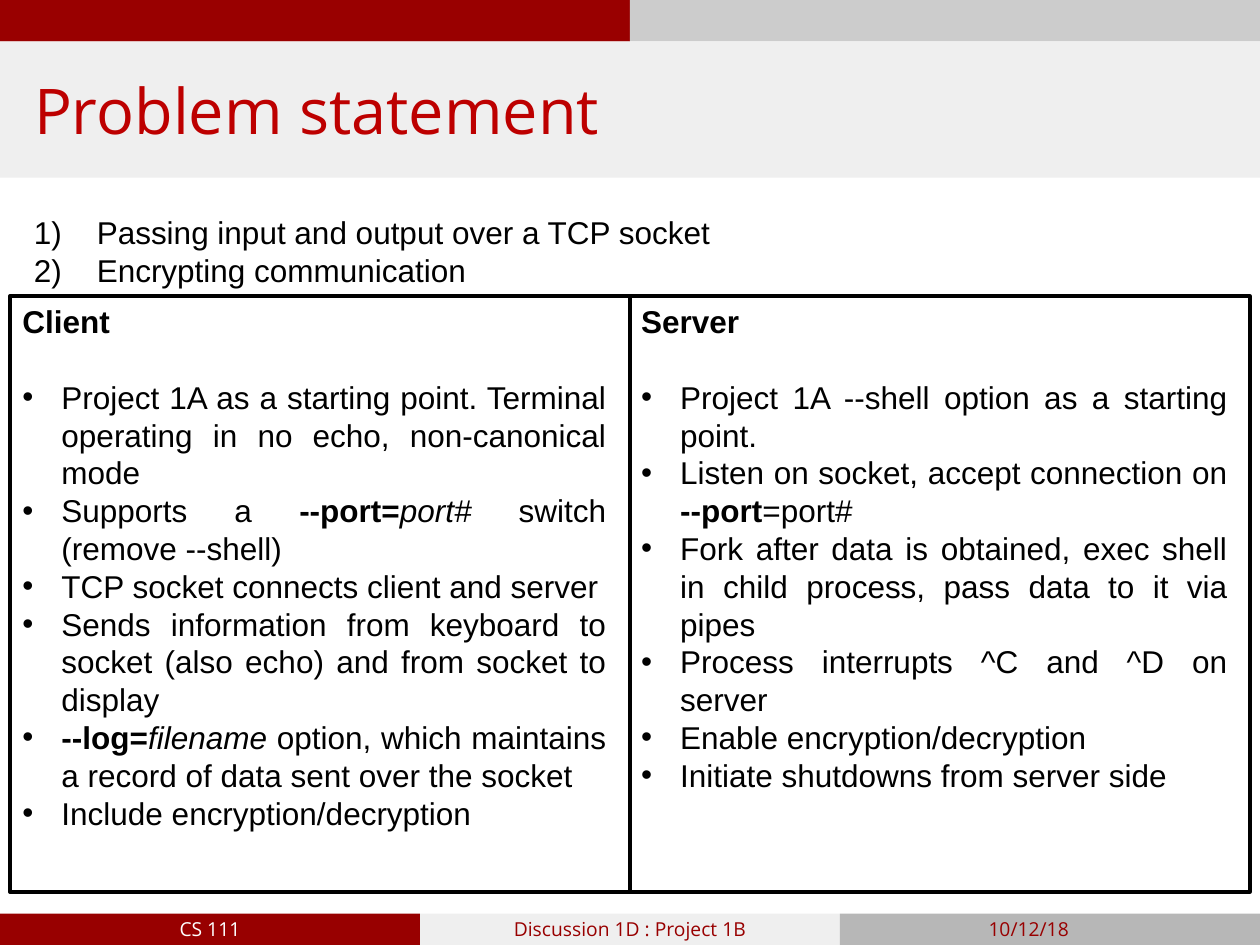
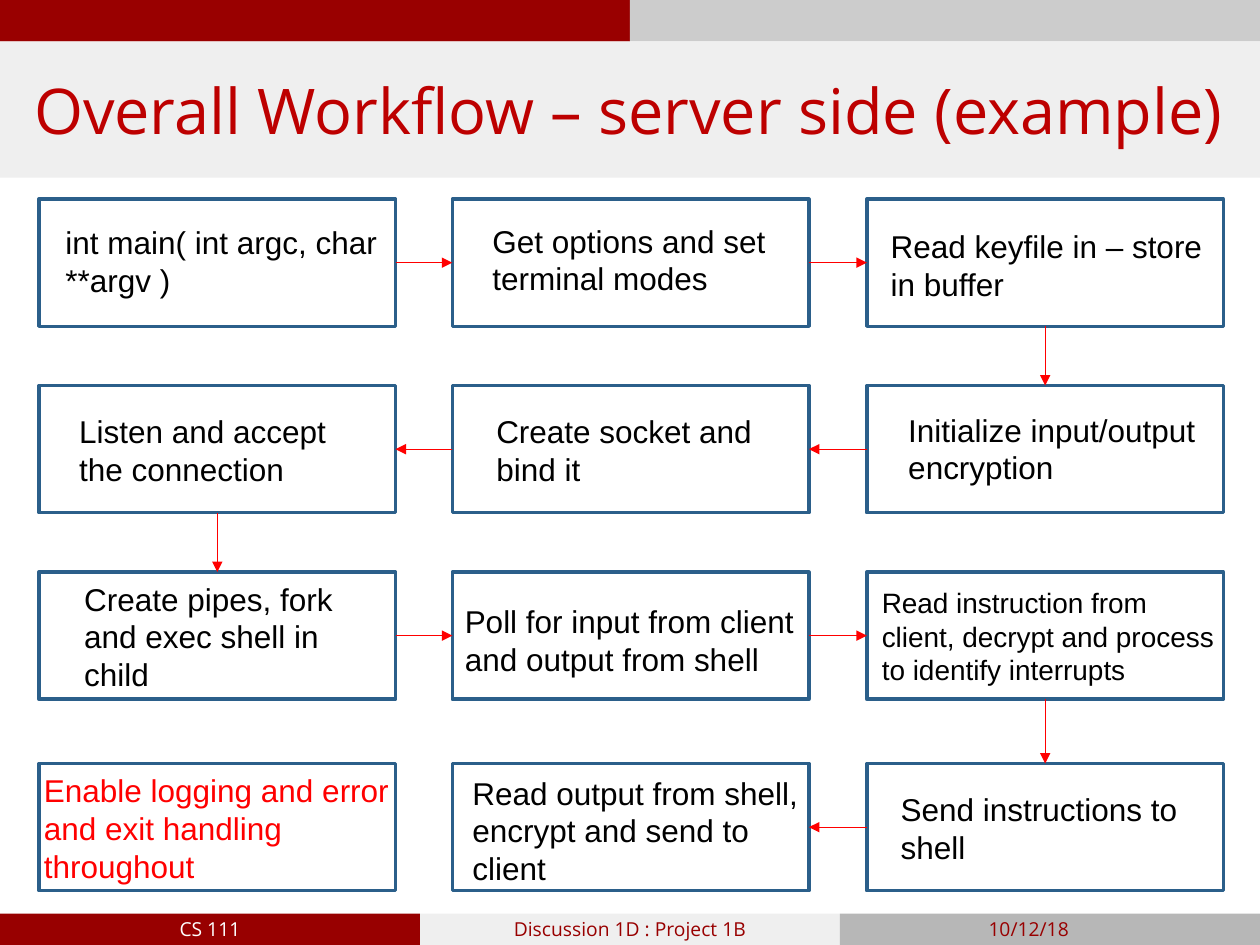
from lxml.etree import SubElement
from pptx import Presentation
from pptx.dml.color import RGBColor
from pptx.enum.shapes import MSO_CONNECTOR, MSO_SHAPE
from pptx.enum.text import MSO_ANCHOR, MSO_AUTO_SIZE, PP_ALIGN
from pptx.oxml.ns import qn
from pptx.util import Inches, Pt

BODY_FONT, HEAD_FONT = "Arial", "Open Sans"
BLACK, WHITE, RED = "000000", "FFFFFF", "FF0000"
DARK_RED, TITLE_RED, BOX_BLUE = "980000", "BD0000", "2B5F8A"
PALE, LIGHT, GREY = "EFEFEF", "CCCCCC", "B7B7B7"
THIRD = 10 / 3

# Footer text, band fill, text colour, text left, text width
FOOTER = [
    ("CS 111", DARK_RED, WHITE, 0, THIRD),
    ("Discussion 1D : Project 1B", PALE, DARK_RED, THIRD, THIRD),
    ("10/12/18", GREY, DARK_RED, 6.75, 2.83),
]

BOLD, ITALIC = {"bold": True}, {"italic": True}
GOALS = ["Passing input and output over a TCP socket", "Encrypting communication"]
CLIENT = [
    "Project 1A as a starting point. Terminal operating in no echo, non-canonical mode",
    [("Supports a ", {}), ("--port=", BOLD), ("port# ", ITALIC),
     ("switch (remove --shell)", {})],
    "TCP socket connects client and server",
    "Sends information from keyboard to socket (also echo) and from socket to display",
    [("--log=", BOLD), ("filename", ITALIC),
     (" option, which maintains a record of data sent over the socket", {})],
    "Include encryption/decryption",
]
SERVER = [
    "Project 1A --shell option as a starting point.",
    [("Listen on socket, accept connection on ", {}), ("--port", BOLD), ("=port#", {})],
    "Fork after data is obtained, exec shell in child process, pass data to it via pipes",
    "Process interrupts ^C and ^D on server",
    "Enable encryption/decryption",
    "Initiate shutdowns from server side",
]

# Column, row, text, text left, top and width, other format
STEPS = [
    (0, 0, "int main( int argc, char **argv )", 0.42, 1.72, 2.95, {}),
    (1, 0, "Get options and set terminal modes", 3.81, 1.71, 2.95, {}),
    (2, 0, "Read keyfile in – store in buffer", 6.97, 1.75, 2.85, {}),
    (2, 1, "Initialize input/output encryption", 7.11, 3.21, 2.85, {}),
    (1, 1, "Create socket and bind it", 3.84, 3.22, 2.48, {}),
    (0, 1, "Listen and accept the connection", 0.53, 3.22, 2.42, {}),
    (0, 2, "Create pipes, fork and exec shell in child", 0.57, 4.55, 2.53, {}),
    (1, 2, "Poll for input from client and output from shell", 3.59, 4.73, 2.85, {}),
    (2, 2, "Read instruction from client, decrypt and process to identify interrupts",
     6.9, 4.6, 2.85, {"size": 16}),
    (2, 3, "Send instructions to shell", 7.05, 6.22, 2.85, {}),
    (1, 3, "Read output from shell, encrypt and send to client", 3.65, 6.09, 2.85, {}),
]
NOTE = (0, 3, "Enable logging and error and exit handling throughout",
        0.25, 6.07, 2.95, {"color": RED})
COLUMN_LEFTS = [0.31, 3.59, 6.88]
ROW_TOPS = [1.58, 3.06, 4.54, 6.06]
STEP_W, STEP_H = 2.83, 1.01


def rgb(color):
    return RGBColor.from_string(color)


def add_run(p, text, size=18, font=BODY_FONT, color=BLACK, bold=False, italic=False):
    r = p.add_run()
    r.text = text
    r.font.size, r.font.name = Pt(size), font
    r.font.bold, r.font.italic = bold, italic
    r.font.color.rgb = rgb(color)


def set_bullet(p, indent, number_type=None):
    """Hang the paragraph on a dot, or on a number of the given type."""
    pPr = p._p.get_or_add_pPr()
    pPr.set("marL", str(Inches(indent)))
    pPr.set("indent", str(-Inches(indent)))
    SubElement(pPr, qn("a:buFont"), typeface=BODY_FONT)
    if number_type:
        SubElement(pPr, qn("a:buAutoNum"), type=number_type)
    else:
        SubElement(pPr, qn("a:buChar"), char="•")


class Deck:
    def __init__(self):
        self.prs = Presentation()
        self.prs.slide_width, self.prs.slide_height = Inches(10), Inches(7.5)
        self.s = None

    def slide(self, title):
        self.s = self.prs.slides.add_slide(self.prs.slide_layouts[5])
        self.rect(0, 0, 5, 0.33, fill="990000")
        self.rect(5, 0, 5, 0.33, fill=LIGHT)
        for i, (text, fill, color, left, width) in enumerate(FOOTER):
            self.rect(i * THIRD, 7.25, THIRD, 0.25, fill=fill)
            tf = self.box(left, 7.25, width, 0.25, grow=False)
            self.center(tf)
            tf.paragraphs[0].alignment = PP_ALIGN.CENTER
            add_run(tf.paragraphs[0], text, size=11, font=HEAD_FONT, color=color)
        self.rect(0, 0.33, 10, 1.08, fill=PALE)
        self.title(title)

    def title(self, text):
        sp = self.s.shapes.title
        sp.left, sp.top = Inches(0.17), Inches(0.33)
        sp.width, sp.height = Inches(9.67), Inches(1.08)
        self.s.shapes._spTree.append(sp._element)  # in front of its band
        tf = sp.text_frame
        tf.auto_size = MSO_AUTO_SIZE.NONE
        self.center(tf)
        tf.paragraphs[0].alignment = PP_ALIGN.LEFT
        add_run(tf.paragraphs[0], text, size=36, font=HEAD_FONT, color=TITLE_RED)

    def center(self, tf):
        """Anchor the text in the middle with equal insets."""
        tf.vertical_anchor = MSO_ANCHOR.MIDDLE
        tf.margin_top = tf.margin_bottom = Inches(0.1)

    def rect(self, left, top, width, height, fill=None, line=None):
        sp = self.s.shapes.add_shape(MSO_SHAPE.RECTANGLE, Inches(left), Inches(top),
                                     Inches(width), Inches(height))
        sp.shadow.inherit = False
        if fill:
            sp.fill.solid()
            sp.fill.fore_color.rgb = rgb(fill)
        else:
            sp.fill.background()
        if line:
            sp.line.color.rgb = rgb(line)
            sp.line.width = Pt(2)
        else:
            sp.line.fill.background()

    def box(self, left, top, width, height, grow=True):
        tf = self.s.shapes.add_textbox(Inches(left), Inches(top),
                                       Inches(width), Inches(height)).text_frame
        tf.word_wrap = True
        tf.auto_size = MSO_AUTO_SIZE.SHAPE_TO_FIT_TEXT if grow else MSO_AUTO_SIZE.NONE
        return tf

    def numbered(self, left, top, width, height, items):
        tf = self.box(left, top, width, height)
        for i, item in enumerate(items):
            p = tf.add_paragraph() if i else tf.paragraphs[0]
            set_bullet(p, 0.5, "arabicParenR")
            add_run(p, item)

    def column(self, left, width, heading, items):
        """Bold heading over a justified bullet list."""
        tf = self.box(left, 2.35, width, 4.64)
        p = tf.paragraphs[0]
        p.space_after = Pt(21.6)
        add_run(p, heading, bold=True)
        for item in items:
            p = tf.add_paragraph()
            p.alignment = PP_ALIGN.JUSTIFY
            set_bullet(p, 0.31)
            for text, style in [(item, {})] if isinstance(item, str) else item:
                add_run(p, text, **style)

    def step(self, col, row, text, left, top, width, style):
        self.rect(COLUMN_LEFTS[col], ROW_TOPS[row], STEP_W, STEP_H, line=BOX_BLUE)
        tf = self.box(left, top, width, 0.71)
        add_run(tf.paragraphs[0], text, **style)

    def arrow(self, x1, y1, x2, y2):
        c = self.s.shapes.add_connector(MSO_CONNECTOR.STRAIGHT, Inches(x1), Inches(y1),
                                        Inches(x2), Inches(y2))
        c.line.color.rgb = rgb(RED)
        c.line.width = Pt(0.75)
        SubElement(c.line._get_or_add_ln(), qn("a:tailEnd"), type="triangle")
        SubElement(c._element.spPr, qn("a:effectLst"))

    def step_arrow(self, start, end):
        """Arrow between the facing sides of two neighbouring steps."""
        (col1, row1), (col2, row2) = start[:2], end[:2]
        x1, x2 = COLUMN_LEFTS[col1], COLUMN_LEFTS[col2]
        y1, y2 = ROW_TOPS[row1], ROW_TOPS[row2]
        if row1 != row2:
            self.arrow(x1 + STEP_W / 2, y1 + STEP_H, x2 + STEP_W / 2, y2)
        elif col1 < col2:
            self.arrow(x1 + STEP_W, y1 + STEP_H / 2, x2, y2 + STEP_H / 2)
        else:
            self.arrow(x1, y1 + STEP_H / 2, x2 + STEP_W, y2 + STEP_H / 2)


def main():
    deck = Deck()

    deck.slide("Problem statement")
    deck.numbered(0.17, 1.64, 9.33, 0.71, GOALS)
    for left in (0.08, 5):
        deck.rect(left, 2.35, 4.92, 4.73, line=BLACK)
    deck.column(0.08, 4.83, "Client", CLIENT)
    deck.column(4.99, 4.85, "Server", SERVER)

    deck.slide("Overall Workflow – server side (example)")
    for step in STEPS + [NOTE]:
        deck.step(*step)
    for start, end in zip(STEPS, STEPS[1:]):
        deck.step_arrow(start, end)

    deck.prs.save("out.pptx")


if __name__ == "__main__":
    main()
